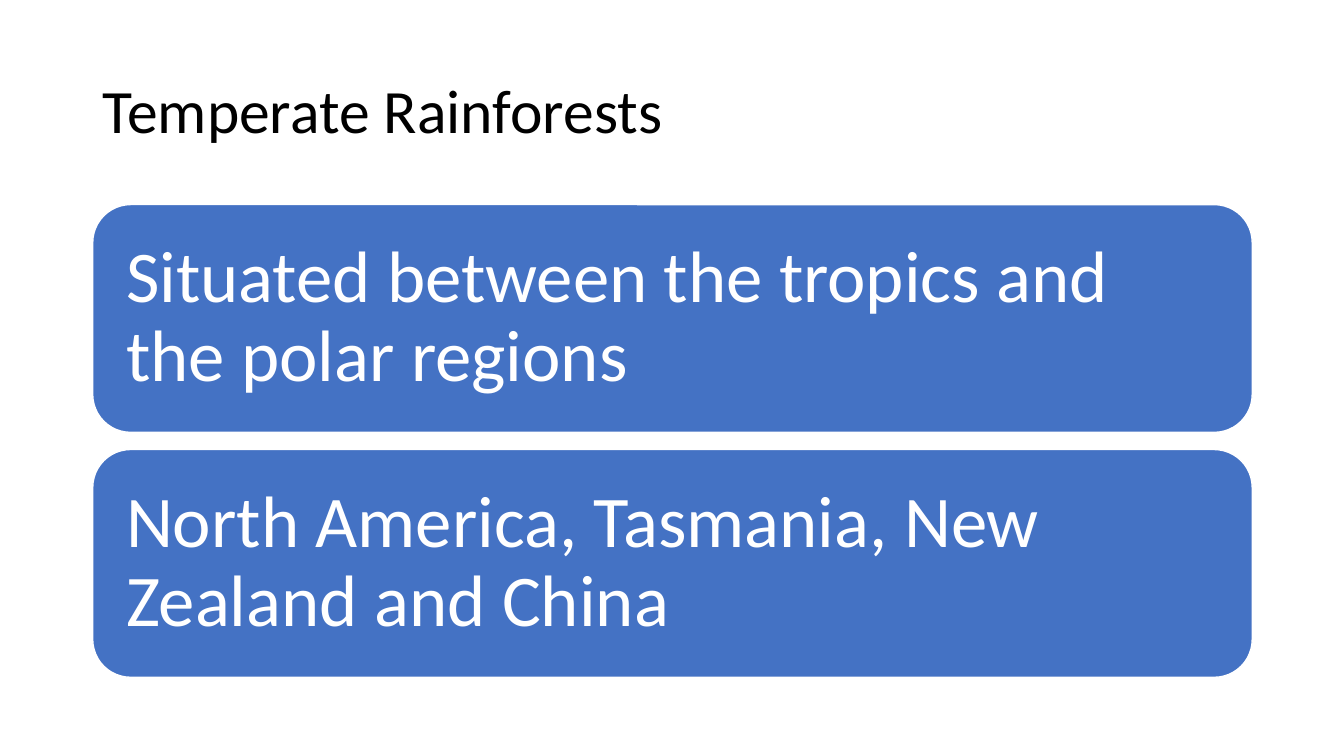
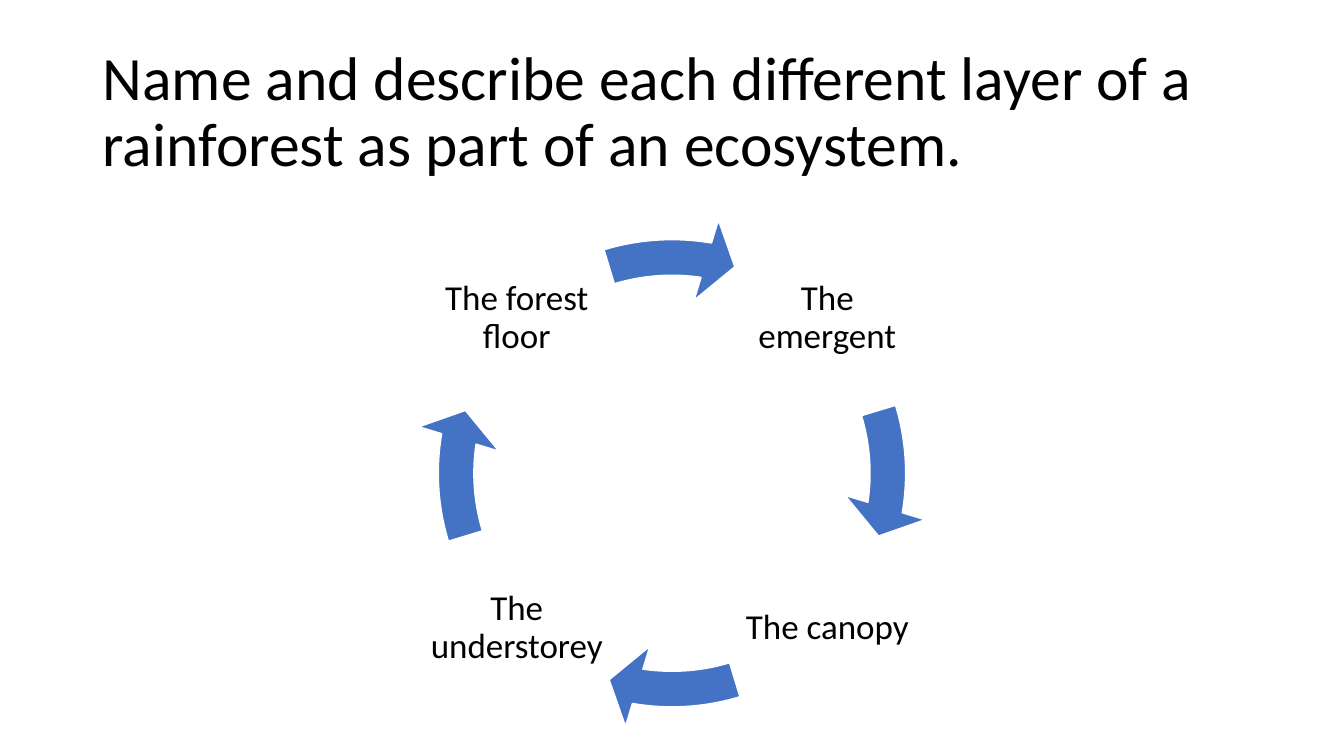
from collections import namedtuple

from pptx import Presentation
from pptx.dml.color import RGBColor
from pptx.enum.shapes import MSO_SHAPE as Preset
from pptx.enum.text import MSO_ANCHOR as Anchor, PP_ALIGN as Align
from pptx.util import Inches, Pt

# Shared style
BLUE = RGBColor(0x44, 0x72, 0xC4)
WHITE = RGBColor(0xFF, 0xFF, 0xFF)
BLACK = RGBColor(0x00, 0x00, 0x00)
FONT = "Calibri"

Box = namedtuple("Box", "left top width height")
TITLE_BOX = Box(0.92, 0.4, 11.5, 1.45)
CARDS_BOX = Box(0.92, 2.03, 11.5, 4.69)
CYCLE_BOX = Box(4.11, 2.14, 5.11, 5.11)

FULL_TURN = 216  # 360 degrees in adjustment units


def inches(box):
    return [Inches(length) for length in box]


def write(shape, text, size, color=BLACK, align=Align.LEFT, inset=None):
    """Put one paragraph, centred vertically, into a shape."""
    frame = shape.text_frame
    frame.word_wrap = True
    frame.vertical_anchor = Anchor.MIDDLE
    if inset is not None:
        frame.margin_left = frame.margin_right = Inches(inset)
        frame.margin_top = frame.margin_bottom = Inches(inset)
    para = frame.paragraphs[0]
    para.alignment = align
    para.line_spacing = 0.9
    span = para.add_run()
    span.text = text
    span.font.name = FONT
    span.font.size = Pt(size)
    span.font.color.rgb = color


def add_blue_shape(page, preset, box):
    shape = page.shapes.add_shape(preset, *inches(box))
    shape.shadow.inherit = False
    shape.fill.solid()
    shape.fill.fore_color.rgb = BLUE
    shape.line.color.rgb = WHITE
    shape.line.width = Pt(1)
    return shape


def add_page(deck, title):
    page = deck.slides.add_slide(deck.slide_layouts[6])
    write(page.shapes.add_textbox(*inches(TITLE_BOX)), title, size=44)
    return page


def add_cards(page, box, texts, gap=0.17):
    """Stack equal rounded cards in the box."""
    height = (box.height - gap * (len(texts) - 1)) / len(texts)
    for index, text in enumerate(texts):
        top = box.top + index * (height + gap)
        card = add_blue_shape(page, Preset.ROUNDED_RECTANGLE,
                              Box(box.left, top, box.width, height))
        write(card, text, size=52, color=WHITE, inset=0.22)


def add_cycle(page, box, labels, side=1.81, margin=0.11):
    """Labels in the corners, clockwise from top right, an arrow after each."""
    near, far = margin, box.width - margin - side
    corners = [(far, near), (far, far), (near, far), (near, near)]
    for index, (label, (across, down)) in enumerate(zip(labels, corners)):
        label_box = Box(box.left + across, box.top + down, side, side)
        write(page.shapes.add_textbox(*inches(label_box)), label,
              size=25, align=Align.CENTER, inset=0.03)

        arrow = add_blue_shape(page, Preset.CIRCULAR_ARROW, box)
        turn = index * FULL_TURN / len(labels)
        head_angle = (5.49 + turn) % FULL_TURN
        tail_angle = (205.86 + turn) % FULL_TURN
        values = (0.069, 4.656, head_angle, tail_angle, 0.081)
        for position, value in enumerate(values):
            arrow.adjustments[position] = value


def main():
    deck = Presentation()
    deck.slide_width, deck.slide_height = Inches(13.33), Inches(7.5)

    # Slide 1: stacked cards
    page = add_page(deck, "Temperate Rainforests")
    add_cards(page, CARDS_BOX, [
        "Situated between the tropics and the polar regions",
        "North America, Tasmania, New Zealand and China",
    ])

    # Slide 2: cycle of layers
    page = add_page(deck, "Name and describe each different layer of a "
                          "rainforest as part of an ecosystem.")
    add_cycle(page, CYCLE_BOX, ["The emergent", "The canopy",
                                "The understorey", "The forest floor"])

    deck.save("out.pptx")


if __name__ == "__main__":
    main()
